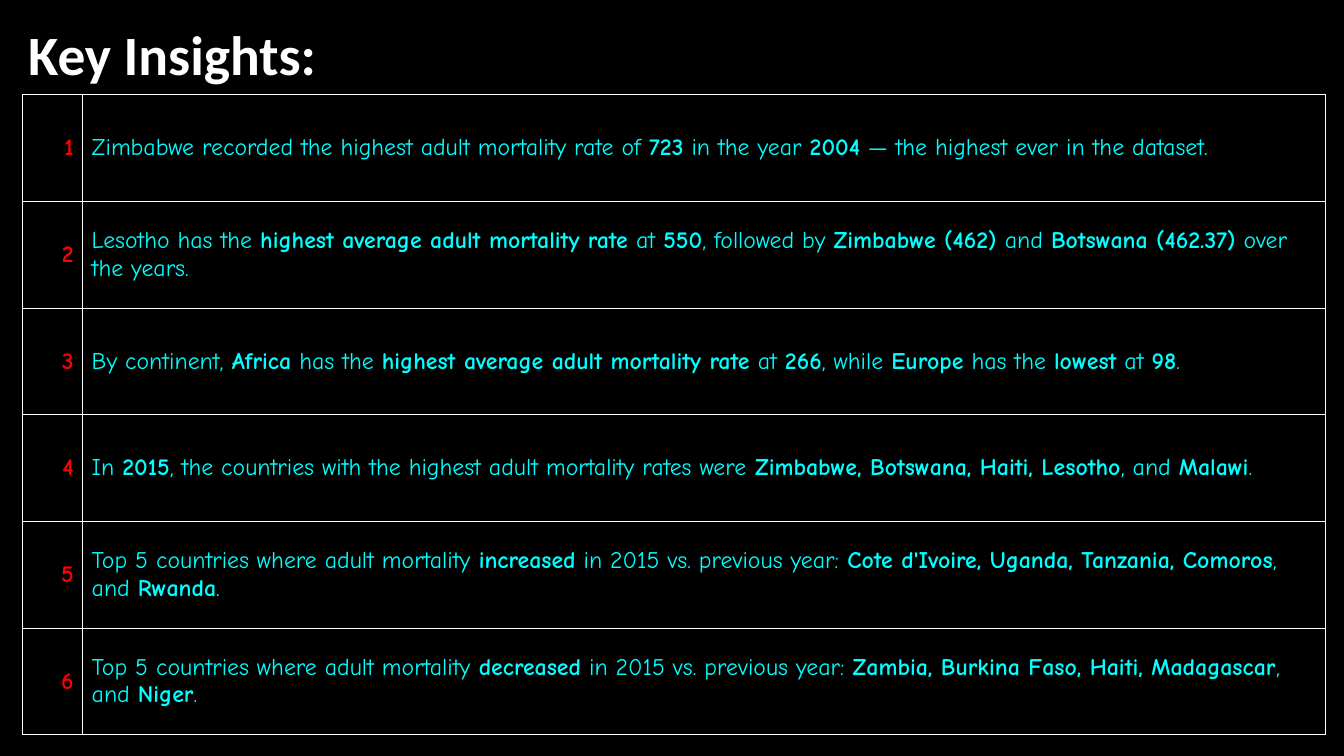
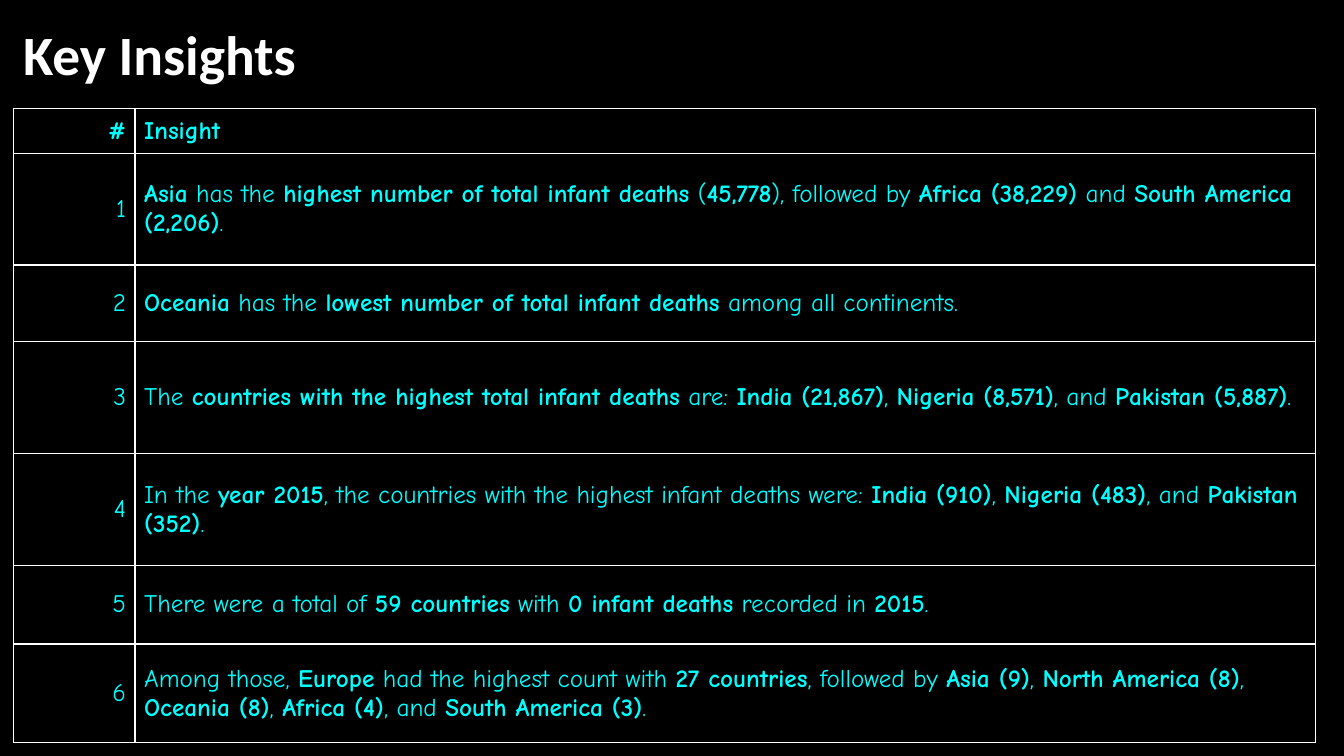
from lxml.etree import SubElement
from pptx import Presentation
from pptx.dml.color import RGBColor
from pptx.enum.text import MSO_ANCHOR, MSO_AUTO_SIZE, PP_ALIGN
from pptx.oxml.ns import qn
from pptx.util import Inches, Pt

BLACK = RGBColor(0x00, 0x00, 0x00)
WHITE = RGBColor(0xFF, 0xFF, 0xFF)
CYAN = RGBColor(0x00, 0xFF, 0xFF)
RED = RGBColor(0xFF, 0x00, 0x00)
TITLE_FONT = "Calibri"
TABLE_FONT = "Comic Neue"
BOLD_MARK = "*"

MORTALITY_INSIGHTS = [
    "Zimbabwe recorded the highest adult mortality rate of *723* in the year *2004* "
    "— the highest ever in the dataset.",
    "Lesotho has the *highest average adult mortality rate* at *550*, followed by "
    "*Zimbabwe (462)* and *Botswana (462.37)* over the years.",
    "By continent, *Africa* has the *highest average adult mortality rate* at *266*, "
    "while *Europe* has the *lowest* at *98*.",
    "In *2015*, the countries with the highest adult mortality rates were "
    "*Zimbabwe, Botswana, Haiti, Lesotho*, and *Malawi*.",
    "Top 5 countries where adult mortality *increased* in 2015 vs. previous year: "
    "*Cote d'Ivoire, Uganda, Tanzania, Comoros*, and *Rwanda*.",
    "Top 5 countries where adult mortality *decreased* in 2015 vs. previous year: "
    "*Zambia, Burkina Faso, Haiti, Madagascar*, and *Niger*.",
]
INFANT_INSIGHTS = [
    "*Asia* has the *highest number of total infant deaths* (*45,778*), followed by "
    "*Africa (38,229)* and *South America (2,206)*.",
    "*Oceania* has the *lowest number of total infant deaths* among all continents.",
    "The *countries with the highest total infant deaths* are: *India (21,867)*, "
    "*Nigeria (8,571)*, and *Pakistan (5,887)*.",
    "In the *year 2015*, the countries with the highest infant deaths were: "
    "*India (910)*, *Nigeria (483)*, and *Pakistan (352)*.",
    "There were a total of *59 countries* with *0 infant deaths* recorded in *2015*.",
    "Among those, *Europe* had the highest count with *27 countries*, followed by "
    "*Asia (9)*, *North America (8)*, *Oceania (8)*, *Africa (4)*, and *South America (3)*.",
]


def add_runs(paragraph, text, font_name, size, color):
    """Add text run by run, with the marked parts in bold."""
    for index, part in enumerate(text.split(BOLD_MARK)):
        if part:
            run = paragraph.add_run()
            run.text = part
            run.font.name = font_name
            run.font.size = Pt(size)
            run.font.bold = index % 2 == 1
            run.font.color.rgb = color


def set_borders(cell, color, width):
    """Draw a solid line on all four sides of a cell."""
    properties = cell._tc.get_or_add_tcPr()
    for side in ("a:lnL", "a:lnR", "a:lnT", "a:lnB"):
        line = SubElement(properties, qn(side), w=str(Pt(width)))
        fill = SubElement(line, qn("a:solidFill"))
        SubElement(fill, qn("a:srgbClr"), val=str(color))


def format_cell(cell, text, size, color, alignment, inset):
    """Fill in one table cell."""
    set_borders(cell, WHITE, 1)
    cell.fill.background()
    cell.vertical_anchor = MSO_ANCHOR.MIDDLE
    cell.margin_left = cell.margin_right = Inches(0.09)
    cell.margin_top = cell.margin_bottom = Inches(inset)
    paragraph = cell.text_frame.paragraphs[0]
    paragraph.alignment = alignment
    add_runs(paragraph, text, TABLE_FONT, size, color)


def place_title(slide, text, box):
    """Move the title placeholder into its box and write it."""
    title = slide.shapes.title
    title.left, title.top, title.width, title.height = map(Inches, box)
    frame = title.text_frame
    frame.auto_size = MSO_AUTO_SIZE.NONE
    frame.vertical_anchor = MSO_ANCHOR.MIDDLE
    paragraph = frame.paragraphs[0]
    paragraph.alignment = PP_ALIGN.LEFT
    paragraph.line_spacing = 0.9
    add_runs(paragraph, f"*{text}*", TITLE_FONT, 39.6, WHITE)


def place_table(slide, rows, box, number_width, heights, size, number_color, inset):
    """Place a two-column table of numbers and insights in its box."""
    left, top, width, height = box
    frame = slide.shapes.add_table(len(rows), 2, *map(Inches, box))
    table = frame.table
    table.first_row = table.horz_banding = False
    table.columns[0].width = Inches(number_width)
    table.columns[1].width = Inches(width - number_width)
    for row, row_height, (number, insight) in zip(table.rows, heights, rows):
        row.height = Inches(row_height)
        format_cell(row.cells[0], number, size, number_color, PP_ALIGN.RIGHT, inset)
        format_cell(row.cells[1], insight, size, CYAN, PP_ALIGN.LEFT, inset)


def add_mortality_slide(presentation):
    """Add the adult mortality insights."""
    slide = presentation.slides.add_slide(presentation.slide_layouts[5])
    place_title(slide, "Key Insights:", (0.18, 0.21, 12.24, 0.73))
    rows = [(f"*{number}*", text) for number, text in enumerate(MORTALITY_INSIGHTS, 1)]
    box = (0.22, 0.94, 12.93, 6.35)
    heights = [box[3] / len(rows)] * len(rows)
    place_table(slide, rows, box, 0.6, heights, 17, RED, 0.05)


def add_infant_slide(presentation):
    """Add the infant death insights under a header row."""
    slide = presentation.slides.add_slide(presentation.slide_layouts[5])
    place_title(slide, "Key Insights", (0.13, 0.26, 12.29, 0.62))
    rows = [("*#*", "*Insight*")]
    rows += [(str(number), text) for number, text in enumerate(INFANT_INSIGHTS, 1)]
    heights = [0.44, 1.11, 0.76, 1.11, 1.11, 0.78, 0.98]
    place_table(slide, rows, (0.13, 1.08, 12.92, 6.29), 1.21, heights, 18, CYAN, 0.04)


def main():
    """Build and save the presentation."""
    presentation = Presentation()
    presentation.slide_width = Inches(13.33)
    presentation.slide_height = Inches(7.5)
    background = presentation.slide_master.background.fill
    background.solid()
    background.fore_color.rgb = BLACK
    add_mortality_slide(presentation)
    add_infant_slide(presentation)
    presentation.save("out.pptx")


if __name__ == "__main__":
    main()
